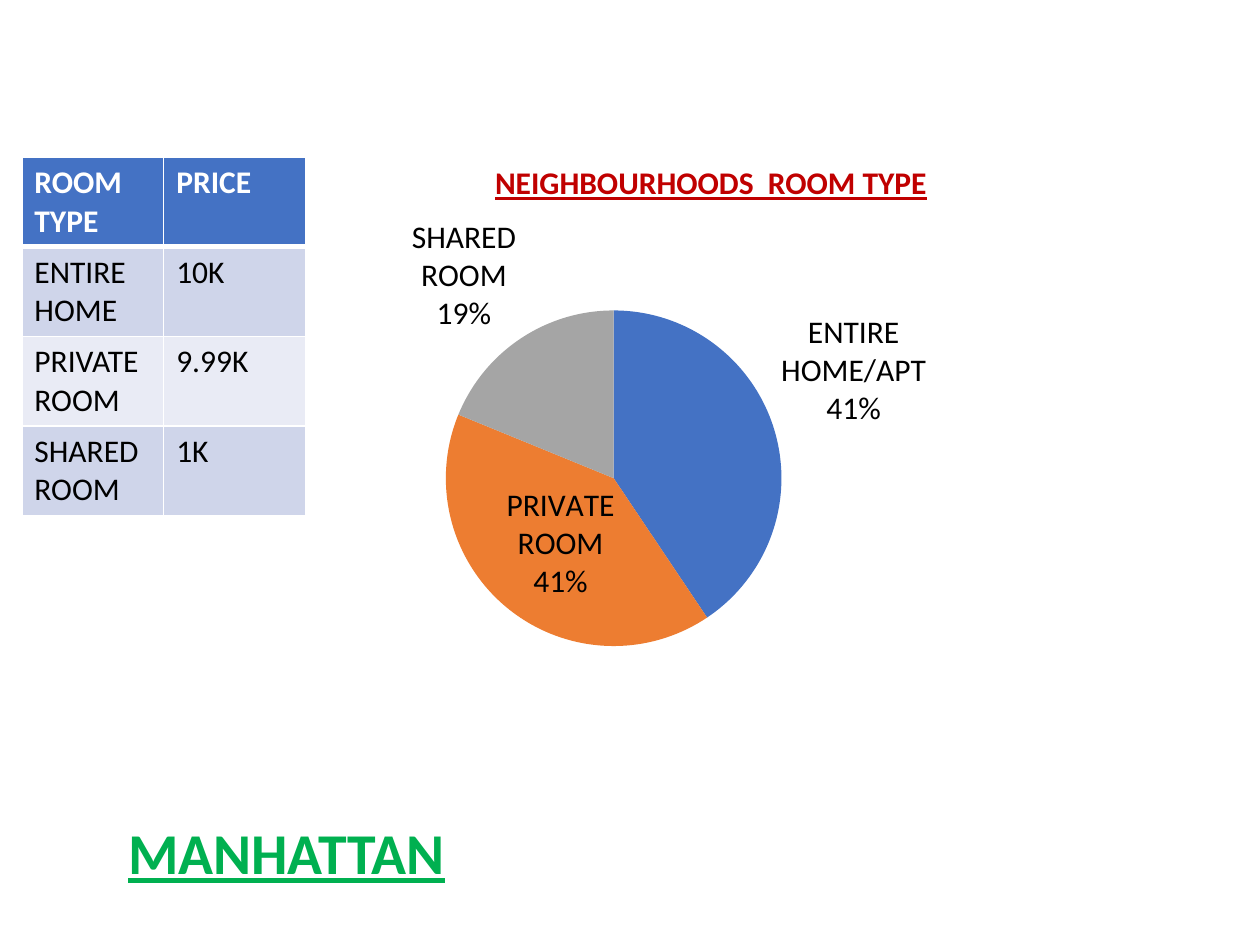
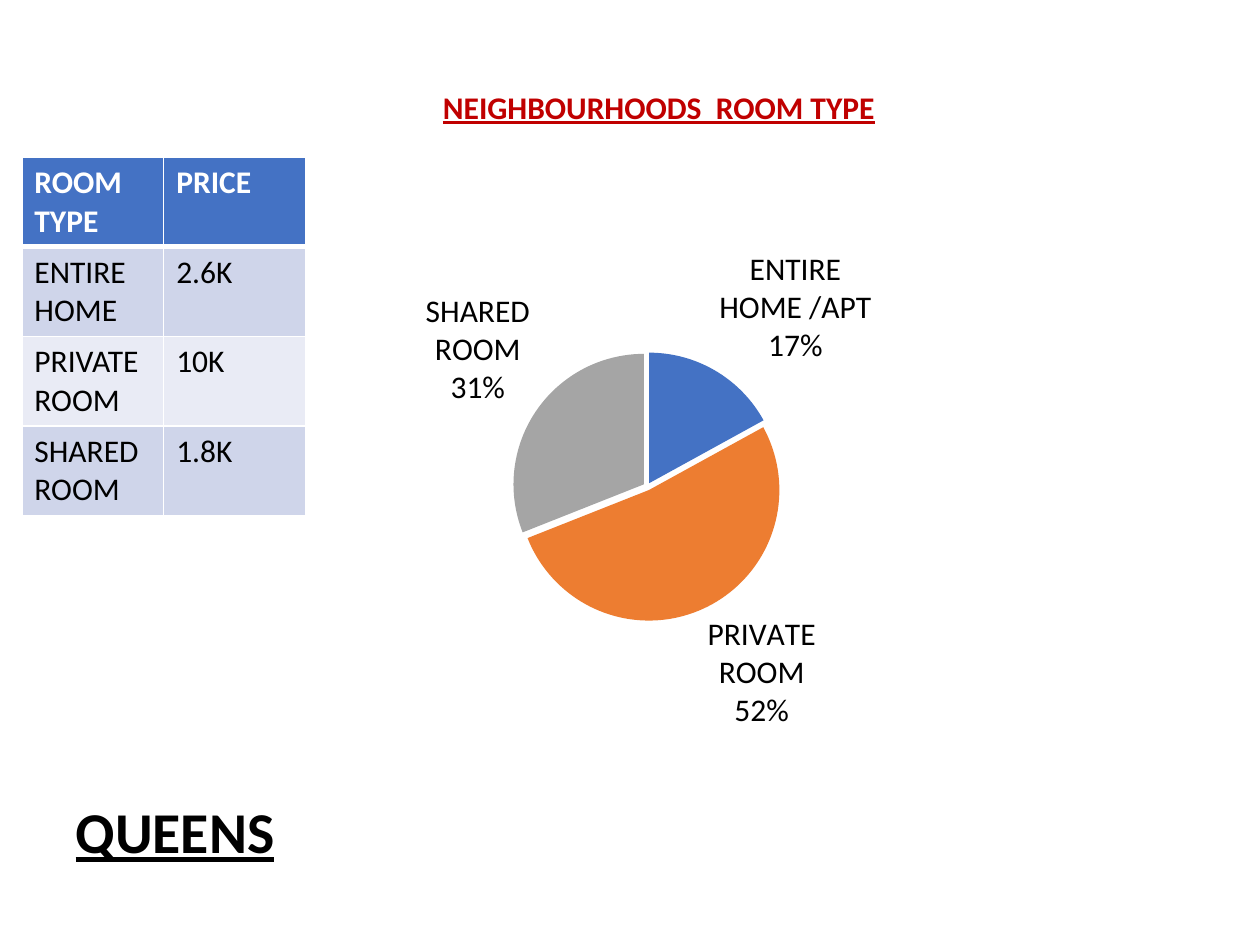
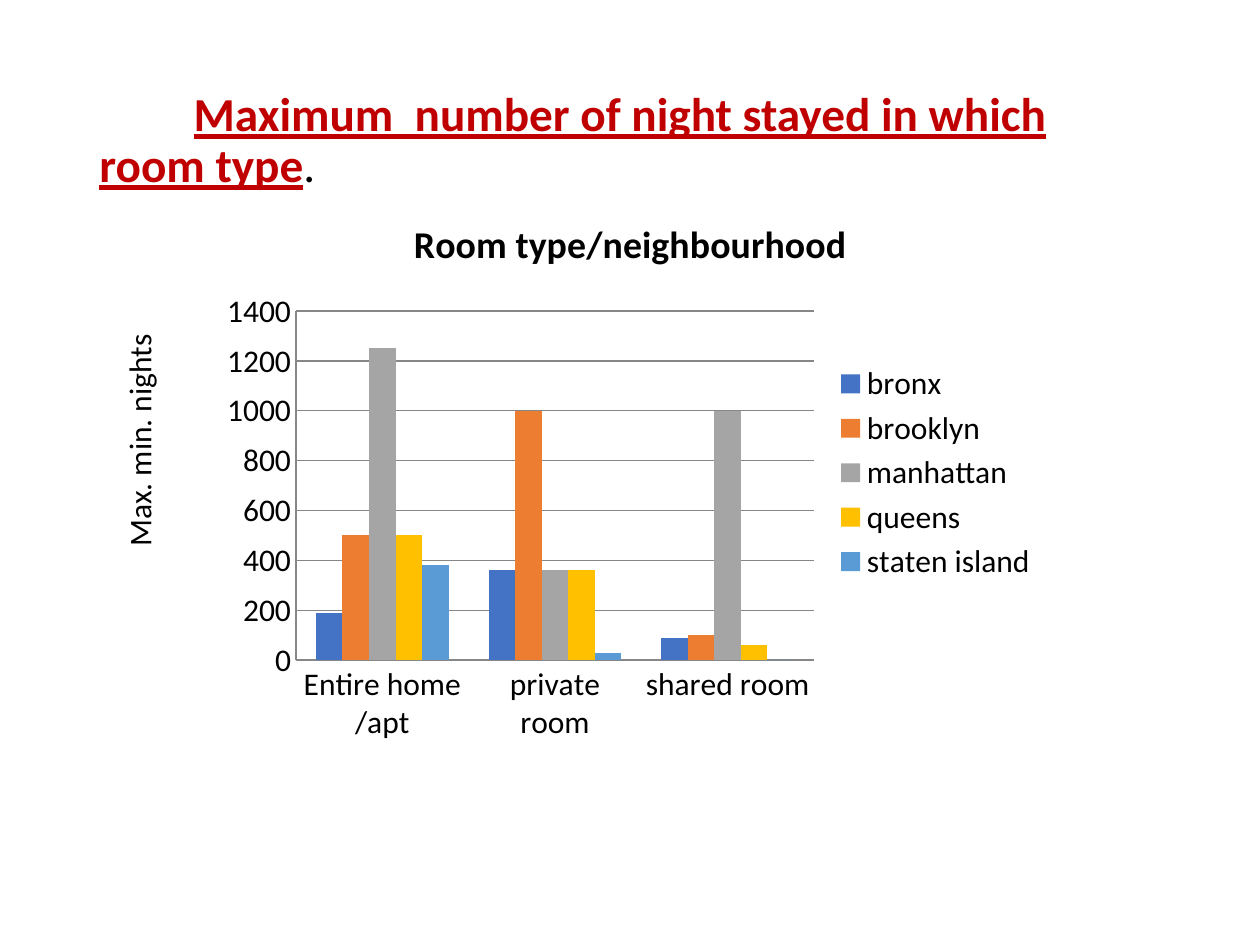
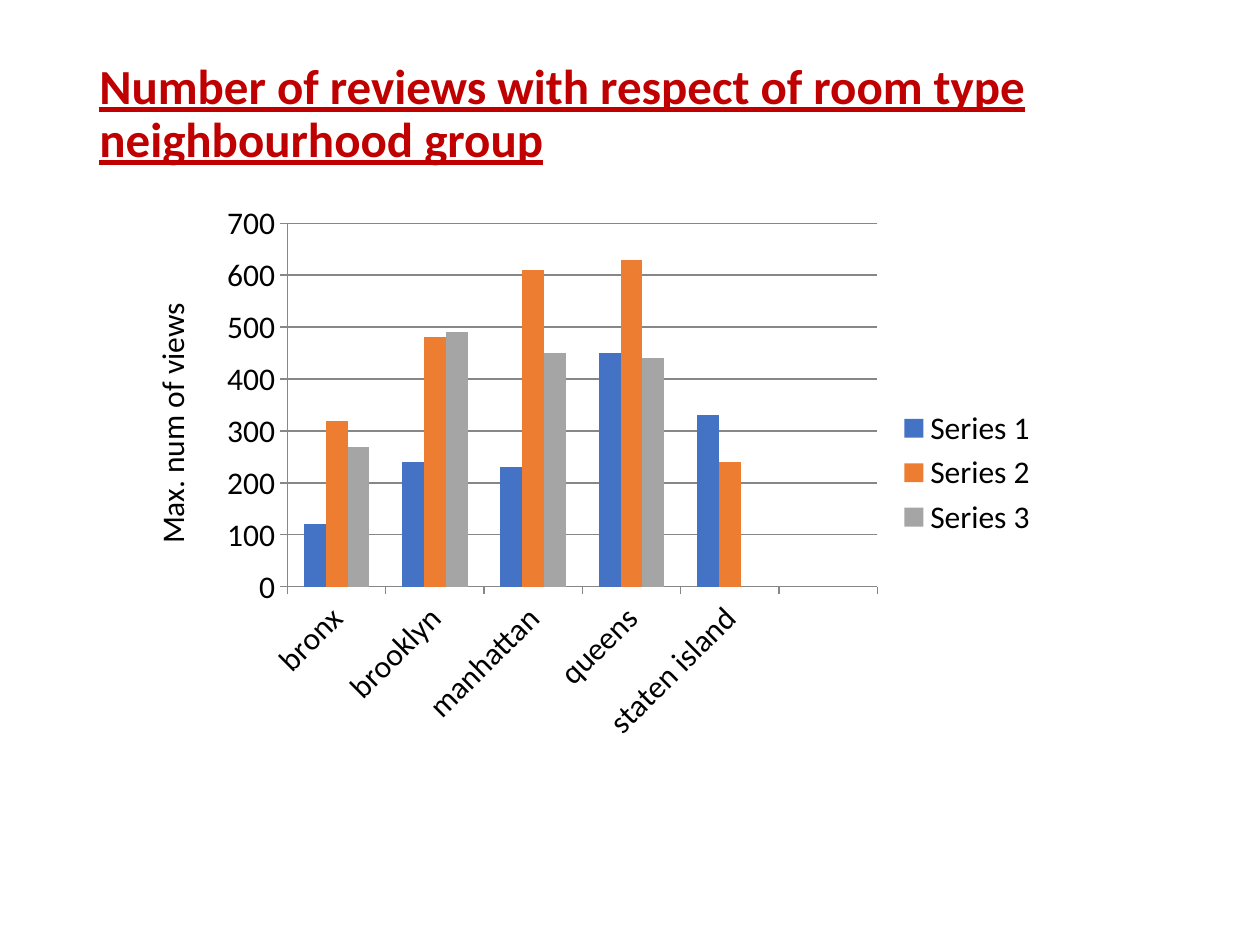
from dataclasses import dataclass
from typing import Optional

from lxml.etree import SubElement
from pptx import Presentation
from pptx.chart.data import CategoryChartData
from pptx.dml.color import RGBColor
from pptx.enum.chart import (XL_CHART_TYPE, XL_LABEL_POSITION,
                             XL_LEGEND_POSITION, XL_TICK_MARK)
from pptx.enum.text import MSO_ANCHOR, MSO_AUTO_SIZE, PP_ALIGN
from pptx.oxml import parse_xml
from pptx.oxml.ns import nsdecls, qn
from pptx.util import Cm, Pt

# Shared style
COLORS = {
    "black": "000000", "white": "FFFFFF", "red": "C00000", "green": "00B050",
    "blue": "4472C4", "orange": "ED7D31", "gray": "A5A5A5", "gold": "FFC000",
    "sky": "5B9BD5", "band_dark": "CFD5EA", "band_light": "E9EBF5", "axis": "878787",
}
SERIES_COLORS = ["blue", "orange", "gray", "gold", "sky"]
FONT = "Calibri"
BODY_SIZE = 18
OUTSIDE, CENTER = XL_LABEL_POSITION.OUTSIDE_END, XL_LABEL_POSITION.CENTER


@dataclass
class Box:
    """A place on the slide, in centimetres."""
    left: float
    top: float
    width: float
    height: float

    def lengths(self) -> tuple:
        return Cm(self.left), Cm(self.top), Cm(self.width), Cm(self.height)


@dataclass
class Borough:
    """One slide with a price table and a room type pie."""
    name: str
    color: str
    title_box: Box
    heading_box: Box
    prices: list
    rooms: list
    shares: list
    label_positions: list
    plot: tuple  # x, y, width, height as parts of the chart
    explosion: int = 0


@dataclass
class Comparison:
    """One slide with a column chart by neighbourhood."""
    title: list  # (text, color, emphasised)
    title_size: int
    categories: list
    series: dict
    axis_label: str
    axis_box: Box
    tick: XL_TICK_MARK
    chart_title: Optional[str] = None
    label_turn: int = 0
    indent: float = 0
    bottom_inset: float = 0.13


CHART_BOX = Box(4.24, 3.89, 16.94, 11.28)
TABLE_BOX = Box(0.44, 3.17, 5.72, 5.6)
TOP_TITLE = Box(1.75, 1.02, 21.9, 3.68)

BOROUGHS = [
    Borough("MANHATTAN", "green", Box(2.33, 16.05, 21.17, 2.42),
            Box(9.73, 3.17, 9.44, 1.8), ["10K", "9.99K", "1K"],
            ["ENTIRE HOME/APT", "PRIVATE ROOM", "SHARED ROOM"], [41, 41, 19],
            [OUTSIDE, CENTER, OUTSIDE], (0.28, 0.21, 0.4, 0.6)),
    Borough("QUEENS", "black", Box(1.27, 15.24, 22.86, 3.18),
            Box(8.68, 1.65, 9.32, 1.8), ["2.6K", "10K", "1.8K"],
            ["ENTIRE HOME /APT", "PRIVATE ROOM", "SHARED ROOM"], [17, 52, 31],
            [OUTSIDE] * 3, (0.36, 0.28, 0.32, 0.49), explosion=3),
]

COMPARISONS = [
    Comparison(
        [("Maximum  number of night stayed in which room type", "red", True),
         (".", "black", False)], 27,
        ["Entire home /apt", "private room", "shared room"],
        {"bronx": [190, 360, 90], "brooklyn": [500, 1000, 100],
         "manhattan": [1250, 360, 1000], "queens": [500, 360, 60],
         "staten island": [380, 30, 0]},
        "Max. min. nights", Box(-0.18, 7.77, 5.97, 1.02), XL_TICK_MARK.NONE,
        chart_title="Room type/neighbourhood", indent=1.9),
    Comparison(
        [("Number of reviews with respect of room type\vneighbourhood group", "red", True)], 28,
        ["bronx", "brooklyn", "manhattan", "queens", "staten island", ""],
        {"Series 1": [120, 240, 230, 450, 330, None],
         "Series 2": [320, 480, 610, 630, 240, None],
         "Series 3": [270, 490, 450, 440, None, None]},
        "Max. num of views", Box(-0.03, 7.21, 6.99, 1.02), XL_TICK_MARK.OUTSIDE,
        label_turn=-45, bottom_inset=1.2),
]


# Text
def rgb(name: str) -> RGBColor:
    return RGBColor.from_string(COLORS[name])


def style_font(font, size: float = BODY_SIZE, color: str = "black",
               bold: bool = False, underline: bool = False) -> None:
    font.name, font.size = FONT, Pt(size)
    font.bold, font.underline = bold, underline
    font.color.rgb = rgb(color)


def add_text(p, text: str, **fmt) -> None:
    """Add text to a paragraph; a vertical tab stands for a line break."""
    for i, line in enumerate(text.split("\v")):
        if i:
            p.add_line_break()
        r = p.add_run()
        r.text = line
        style_font(r.font, **fmt)


def place_title(slide, box: Box):
    sp = slide.shapes.title
    sp.left, sp.top, sp.width, sp.height = box.lengths()
    tf = sp.text_frame
    tf.auto_size, tf.vertical_anchor = MSO_AUTO_SIZE.NONE, MSO_ANCHOR.MIDDLE
    p = tf.paragraphs[0]
    p.alignment, p.line_spacing = PP_ALIGN.LEFT, 0.9
    return tf


def add_label(slide, box: Box, text: str, rotation: int = 0, **fmt) -> None:
    sp = slide.shapes.add_textbox(*box.lengths())
    sp.rotation = rotation
    sp.text_frame.word_wrap = True
    add_text(sp.text_frame.paragraphs[0], text, **fmt)


# Table
def set_borders(cell, top: int, bottom: int) -> None:
    tc_pr = cell._tc.get_or_add_tcPr()
    for side, width in (("L", 1), ("R", 1), ("T", top), ("B", bottom)):
        ln = SubElement(tc_pr, qn(f"a:ln{side}"), w=str(Pt(width)))
        fill = SubElement(ln, qn("a:solidFill"))
        SubElement(fill, qn("a:srgbClr"), val=COLORS["white"])


def add_price_table(slide, prices: list) -> None:
    rooms = ["ENTIRE HOME", "PRIVATE ROOM", "SHARED ROOM"]
    rows = [("ROOM TYPE", "PRICE"), *zip(rooms, prices)]
    table = slide.shapes.add_table(len(rows), 2, *TABLE_BOX.lengths()).table
    for i, row in enumerate(rows):
        header = i == 0
        fill = "blue" if header else "band_dark" if i % 2 else "band_light"
        for j, text in enumerate(row):
            cell = table.cell(i, j)
            set_borders(cell, top=3 if i == 1 else 1, bottom=3 if header else 1)
            cell.fill.solid()
            cell.fill.fore_color.rgb = rgb(fill)
            add_text(cell.text_frame.paragraphs[0], text, bold=header,
                     color="white" if header else "black")


# Charts
def add_chart(slide, kind: XL_CHART_TYPE, categories: list, series: dict):
    data = CategoryChartData()
    data.categories = categories
    for name, values in series.items():
        data.add_series(name, values)
    chart = slide.shapes.add_chart(kind, *CHART_BOX.lengths(), data).chart
    style_font(chart.font)
    chart.has_title = chart.has_legend = False
    return chart


def set_plot_layout(chart, plot: tuple) -> None:
    area = chart._chartSpace.find(".//" + qn("c:plotArea"))
    for old in area.findall(qn("c:layout")):
        area.remove(old)
    sizes = "".join(f'<c:{tag} val="{v}"/>' for tag, v in zip("xywh", plot))
    area.insert(0, parse_xml(
        f'<c:layout {nsdecls("c")}><c:manualLayout><c:layoutTarget val="inner"/>'
        f'<c:xMode val="edge"/><c:yMode val="edge"/>{sizes}</c:manualLayout></c:layout>'))


def add_pie(slide, borough: Borough) -> None:
    chart = add_chart(slide, XL_CHART_TYPE.PIE, borough.rooms, {"Series 1": borough.shares})
    chart.plots[0].vary_by_categories = True
    set_plot_layout(chart, borough.plot)
    series = chart.plots[0].series[0]
    style_font(series.data_labels.font)
    for i, position in enumerate(borough.label_positions):
        point = series.points[i]
        point.format.fill.solid()
        point.format.fill.fore_color.rgb = rgb(SERIES_COLORS[i])
        style_font(point.data_label.font)
        point.data_label.position = position
    ser = series._element
    # Labels show the room type over its percentage
    for label in ser.iter(qn("c:dLbls"), qn("c:dLbl")):
        for tag, val in (("showVal", "0"), ("showCatName", "1"), ("showPercent", "1")):
            label.find(qn(f"c:{tag}")).set("val", val)
        separator = parse_xml(f'<c:separator {nsdecls("c")}>\n</c:separator>')
        label.find(qn("c:showBubbleSize")).addnext(separator)
    if borough.explosion:
        ser.find(qn("c:dPt")).addprevious(
            parse_xml(f'<c:explosion {nsdecls("c")} val="{borough.explosion}"/>'))


def add_columns(slide, comp: Comparison) -> None:
    chart = add_chart(slide, XL_CHART_TYPE.COLUMN_CLUSTERED, comp.categories, comp.series)
    plot = chart.plots[0]
    plot.gap_width, plot.vary_by_categories = 150, False
    for series, color in zip(plot.series, SERIES_COLORS):
        series.format.fill.solid()
        series.format.fill.fore_color.rgb = rgb(color)
    chart.value_axis.has_major_gridlines = True
    for axis in (chart.category_axis, chart.value_axis):
        axis.major_tick_mark, axis.minor_tick_mark = comp.tick, XL_TICK_MARK.NONE
        style_font(axis.tick_labels.font)
        axis.format.line.color.rgb = rgb("axis")
    chart.value_axis.major_gridlines.format.line.color.rgb = rgb("axis")
    if comp.label_turn:
        body = chart.category_axis._element.find(qn("c:txPr")).find(qn("a:bodyPr"))
        body.set("rot", str(comp.label_turn * 60000))
    chart.has_legend = True
    chart.legend.position = XL_LEGEND_POSITION.RIGHT
    chart.legend.include_in_layout = False
    style_font(chart.legend.font)
    if comp.chart_title:
        chart.has_title = True
        add_text(chart.chart_title.text_frame.paragraphs[0], comp.chart_title,
                 size=21.6, bold=True)


# Slides
def add_borough_slide(slide, borough: Borough) -> None:
    tf = place_title(slide, borough.title_box)
    add_text(tf.paragraphs[0], borough.name, size=33, color=borough.color,
             bold=True, underline=True)
    add_pie(slide, borough)
    add_price_table(slide, borough.prices)
    add_label(slide, borough.heading_box, "NEIGHBOURHOODS  ROOM TYPE",
              color="red", bold=True, underline=True)


def add_comparison_slide(slide, comp: Comparison) -> None:
    tf = place_title(slide, TOP_TITLE)
    tf.margin_bottom = Cm(comp.bottom_inset)
    p = tf.paragraphs[0]
    if comp.indent:
        p._p.get_or_add_pPr().set("indent", str(Cm(comp.indent)))
    for text, color, strong in comp.title:
        add_text(p, text, size=comp.title_size, color=color, bold=strong, underline=strong)
    add_columns(slide, comp)
    add_label(slide, comp.axis_box, comp.axis_label, rotation=270)


def main() -> None:
    prs = Presentation()
    prs.slide_width, prs.slide_height = Cm(25.4), Cm(19.05)
    title_only = prs.slide_layouts[5]
    for borough in BOROUGHS:
        add_borough_slide(prs.slides.add_slide(title_only), borough)
    for comp in COMPARISONS:
        add_comparison_slide(prs.slides.add_slide(title_only), comp)
    prs.save("out.pptx")


if __name__ == "__main__":
    main()
